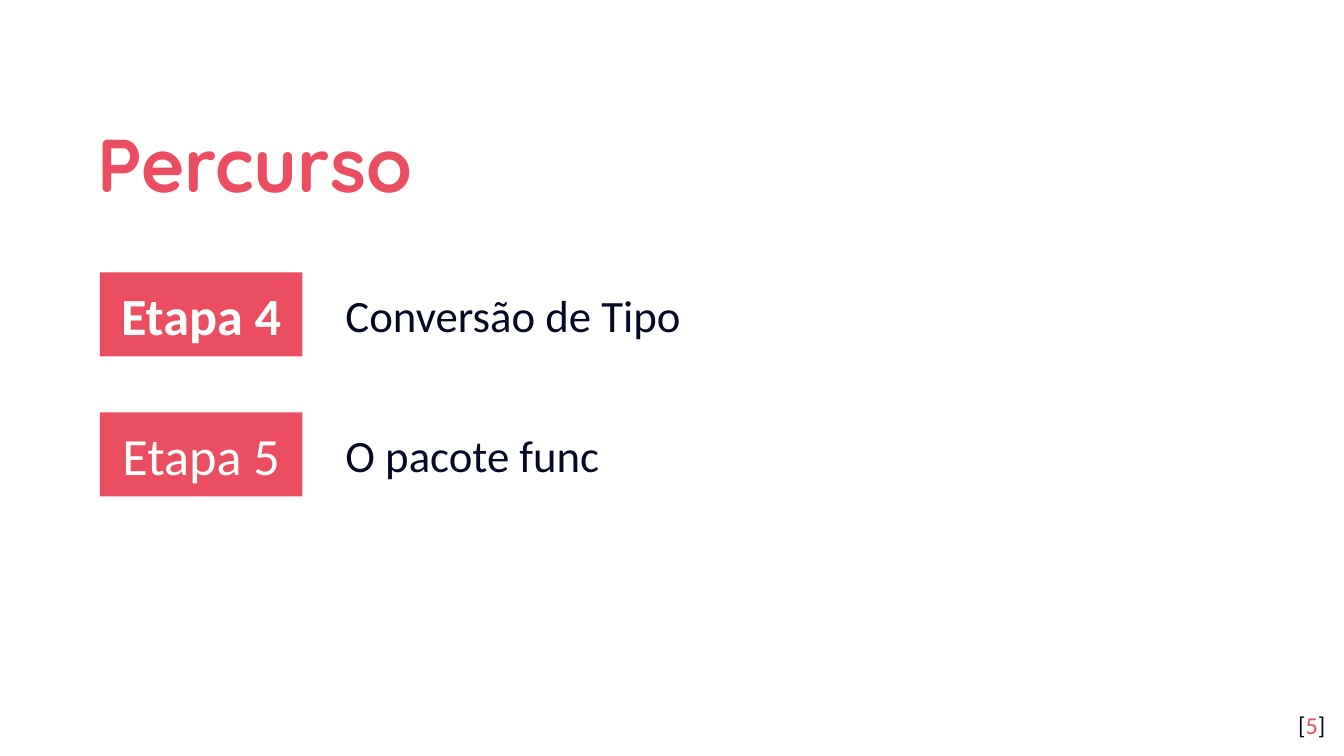
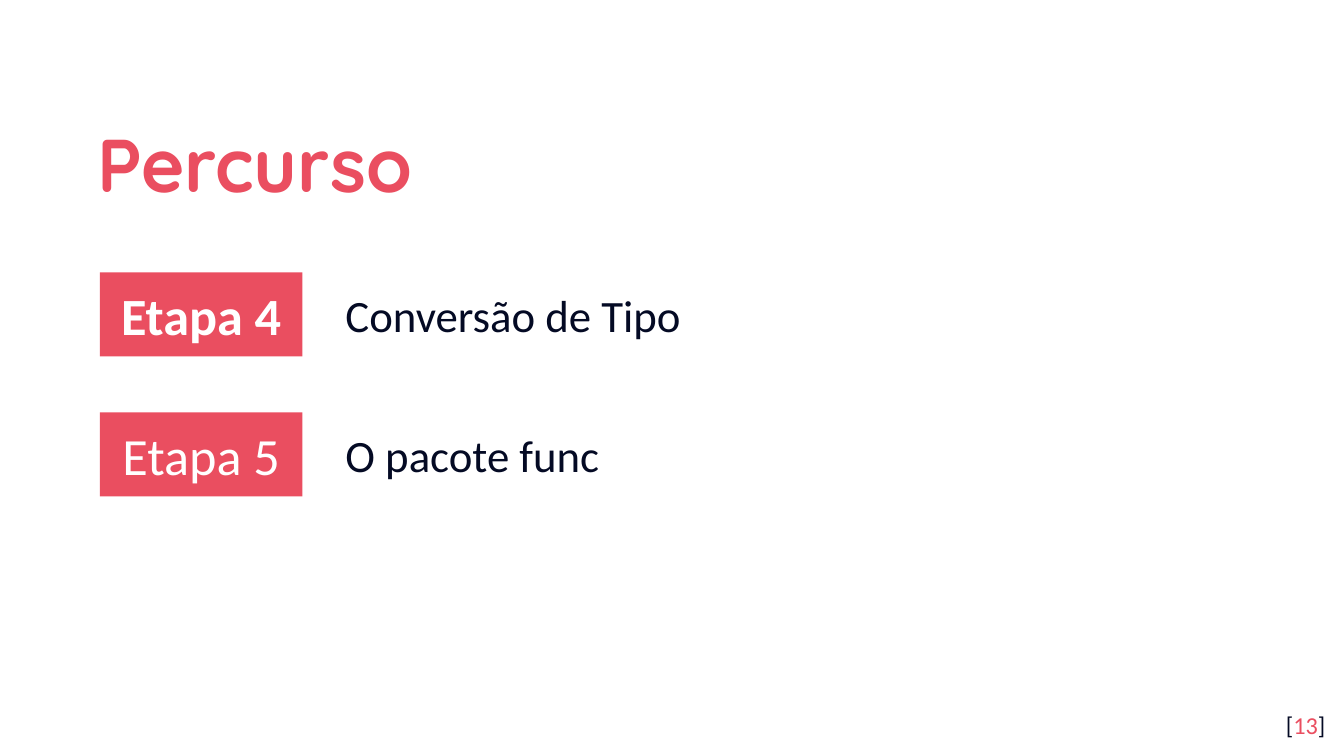
from pptx import Presentation
from pptx.dml.color import RGBColor
from pptx.enum.shapes import MSO_SHAPE as Shape
from pptx.enum.text import MSO_ANCHOR as Anchor, PP_ALIGN as Align
from pptx.util import Pt

RED = RGBColor(0xEA, 0x4E, 0x60)
NAVY = RGBColor(0x04, 0x0A, 0x24)
WHITE = RGBColor(0xFF, 0xFF, 0xFF)
BODY_FONT = "Calibri"
TITLE_FONT = "Quicksand"

STAGES = [("Etapa 4", "Conversão de Tipo", True), ("Etapa 5", "O pacote func", False)]
PAGE_NUMBERS = [5, 13]
FIRST_STAGE_TOP = 146
STAGE_STEP = 75


def write_text(shape, runs, size, font=BODY_FONT, bold=False, align=Align.LEFT,
               anchor=Anchor.TOP, inset=7.2, line_spacing=None, hanging=0):
    frame = shape.text_frame
    frame.word_wrap = True
    frame.vertical_anchor = anchor
    frame.margin_left = frame.margin_right = Pt(7.2)
    frame.margin_top = frame.margin_bottom = Pt(inset)
    paragraph = frame.paragraphs[0]
    paragraph.alignment = align
    paragraph.line_spacing = line_spacing
    if hanging:
        properties = paragraph._p.get_or_add_pPr()
        properties.set("marL", str(Pt(hanging)))
        properties.set("indent", str(-Pt(hanging)))
    for text, color in runs:
        run = paragraph.add_run()
        run.text = text
        run.font.size = Pt(size)
        run.font.name = font
        run.font.bold = bold
        run.font.color.rgb = color


def add_text(slide, left, top, width, height, runs, **text_format):
    box = slide.shapes.add_textbox(Pt(left), Pt(top), Pt(width), Pt(height))
    write_text(box, runs, **text_format)


def add_title(slide, title):
    add_text(slide, 45, 50.5, 583, 66, [(title, RED)], size=40, font=TITLE_FONT,
             bold=True, anchor=Anchor.MIDDLE, line_spacing=1.15)


def add_stage(slide, top, label, topic, current):
    tag = slide.shapes.add_shape(Shape.RECTANGLE, Pt(53.5), Pt(top), Pt(108.5), Pt(45))
    tag.shadow.inherit = False
    tag.fill.solid()
    tag.fill.fore_color.rgb = RED
    tag.line.fill.background()
    write_text(tag, [(label, WHITE)], size=28, bold=current,
               align=Align.CENTER, anchor=Anchor.MIDDLE)
    add_text(slide, 178, top + 4.5, 486, 36, [(topic, NAVY)], size=24,
             inset=3.6, hanging=36)


def add_page_number(slide, number):
    add_text(slide, 674, 373.5, 43, 31, [("[", NAVY), (str(number), RED), ("]", NAVY)],
             size=13, align=Align.RIGHT)


def add_route_slide(presentation, number):
    slide = presentation.slides.add_slide(presentation.slide_layouts[6])
    slide.background.fill.solid()
    slide.background.fill.fore_color.rgb = WHITE
    add_title(slide, "Percurso")
    for row, (label, topic, current) in enumerate(STAGES):
        add_stage(slide, FIRST_STAGE_TOP + row * STAGE_STEP, label, topic, current)
    add_page_number(slide, number)


def main():
    presentation = Presentation()
    presentation.slide_width = Pt(720)
    presentation.slide_height = Pt(405)
    for number in PAGE_NUMBERS:
        add_route_slide(presentation, number)
    presentation.save("out.pptx")


if __name__ == "__main__":
    main()
